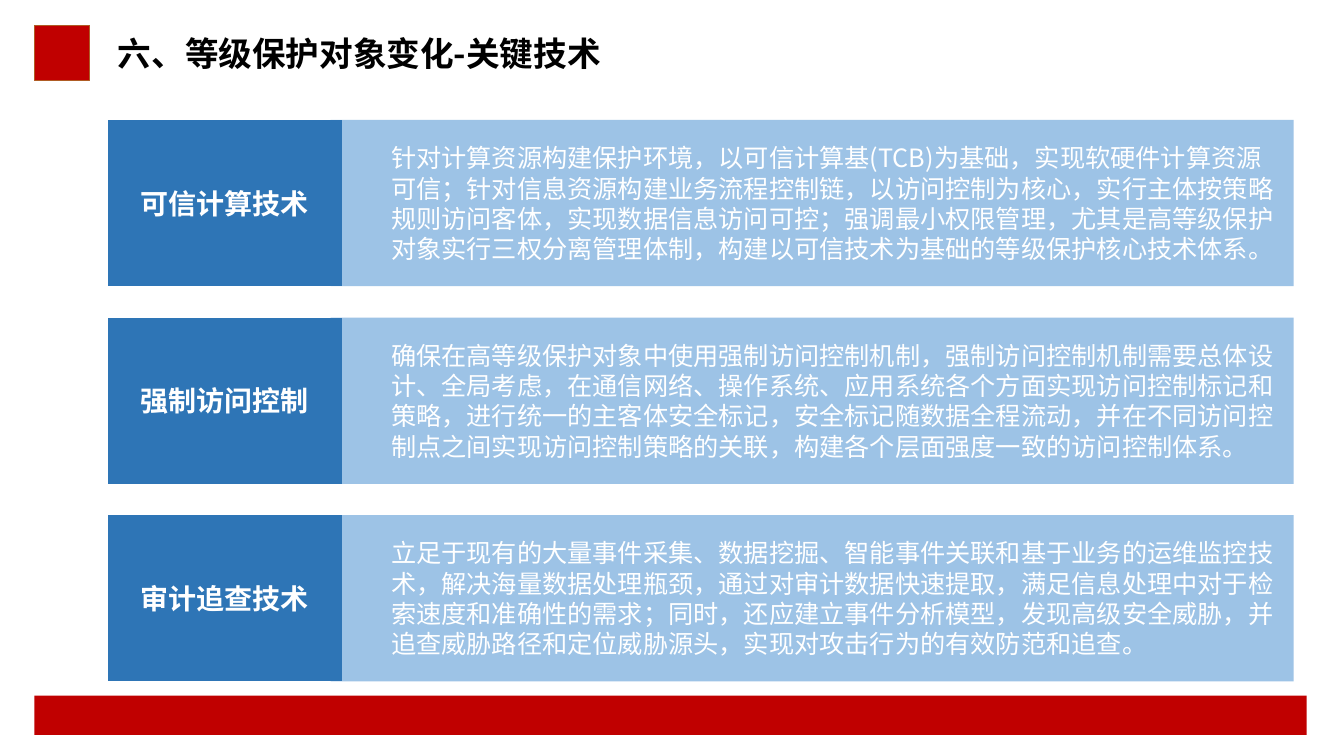
from dataclasses import dataclass

from lxml.etree import SubElement
from pptx import Presentation
from pptx.dml.color import RGBColor as RGB
from pptx.enum.shapes import MSO_SHAPE as Shape
from pptx.enum.text import MSO_ANCHOR as Anchor, PP_ALIGN as Align
from pptx.oxml.ns import qn
from pptx.util import Inches, Pt


@dataclass(frozen=True)
class Theme:
    """Hold the colours, font and type sizes."""
    face: str = "Noto Sans CJK SC"
    red: str = "C00000"
    edge: str = "AF5C24"
    dark: str = "2E75B6"
    pale: str = "9DC3E6"
    white: str = "FFFFFF"
    black: str = "000000"
    title: int = 24
    label: int = 20
    body: int = 18


class Deck:
    """Draw styled elements on the current slide."""

    def __init__(self, theme):
        """Open a wide deck with one blank slide."""
        self.theme = theme
        self.prs = Presentation()
        self.prs.slide_width = Inches(13.33)
        self.prs.slide_height = Inches(7.5)
        self.slide = self.prs.slides.add_slide(self.prs.slide_layouts[6])

    def label(self, shape, text, size, color, bold=False, align=Align.LEFT,
              level=0):
        """Put one formatted paragraph in a shape."""
        frame = shape.text_frame
        frame.word_wrap = True
        frame.vertical_anchor = Anchor.MIDDLE
        para = frame.paragraphs[0]
        para.alignment = align
        if level:
            para.level = level
            props = para._p.get_or_add_pPr()
            props.set("marL", str(Inches(0.5 * level)))
            props.set("indent", "0")
        run = para.add_run()
        run.text = text
        font = run.font
        font.name, font.size, font.bold = self.theme.face, Pt(size), bold
        font.color.rgb = RGB.from_string(color)
        props = run._r.get_or_add_rPr()
        props.set("lang", "zh-CN")
        SubElement(props, qn("a:ea")).set("typeface", self.theme.face)

    def block(self, box, fill, kind=Shape.RECTANGLE, edge=None):
        """Add a filled shape, with a thin outline if asked."""
        shape = self.slide.shapes.add_shape(kind, *map(Inches, box))
        shape.shadow.inherit = False
        shape.fill.solid()
        shape.fill.fore_color.rgb = RGB.from_string(fill)
        if edge:
            shape.line.color.rgb = RGB.from_string(edge)
            shape.line.width = Pt(1)
        else:
            shape.line.fill.background()
        return shape

    def title(self, box, text):
        """Add the slide heading."""
        shape = self.slide.shapes.add_textbox(*map(Inches, box))
        self.label(shape, text, self.theme.title, self.theme.black, bold=True)

    def row(self, top, name, body):
        """Add a dark label beside its pale description."""
        look, high = self.theme, 1.65
        panel = self.block((3.28, top, 9.55, high), look.pale)
        self.label(panel, body, look.body, look.white, level=1)
        tag = self.block((1.07, top, 2.32, high), look.dark,
                         Shape.FLOWCHART_PROCESS)
        self.label(tag, name, look.label, look.white, bold=True,
                   align=Align.CENTER)


ROWS = [
    ("可信计算技术",
     "针对计算资源构建保护环境，以可信计算基(TCB)为基础，实现软硬件计算资源可信；"
     "针对信息资源构建业务流程控制链，以访问控制为核心，实行主体按策略规则访问客体，"
     "实现数据信息访问可控；强调最小权限管理，尤其是高等级保护对象实行三权分离管理体制，"
     "构建以可信技术为基础的等级保护核心技术体系。"),
    ("强制访问控制",
     "确保在高等级保护对象中使用强制访问控制机制，强制访问控制机制需要总体设计、全局考虑，"
     "在通信网络、操作系统、应用系统各个方面实现访问控制标记和策略，"
     "进行统一的主客体安全标记，安全标记随数据全程流动，"
     "并在不同访问控制点之间实现访问控制策略的关联，构建各个层面强度一致的访问控制体系。"),
    ("审计追查技术",
     "立足于现有的大量事件采集、数据挖掘、智能事件关联和基于业务的运维监控技术，"
     "解决海量数据处理瓶颈，通过对审计数据快速提取，满足信息处理中对于检索速度和准确性的需求；"
     "同时，还应建立事件分析模型，发现高级安全威胁，并追查威胁路径和定位威胁源头，"
     "实现对攻击行为的有效防范和追查。"),
]


def main():
    """Build and save the slide."""
    deck = Deck(Theme())
    look = deck.theme
    deck.block((0.34, 6.9, 12.62, 0.39), look.red)
    deck.block((0.34, 0.25, 0.55, 0.55), look.red, edge=look.edge)
    deck.title((1.07, 0.25, 5.59, 0.55), "六、等级保护对象变化-关键技术")
    for step, (name, body) in enumerate(ROWS):
        deck.row(1.19 + 1.96 * step, name, body)
    deck.prs.save("out.pptx")


if __name__ == "__main__":
    main()
